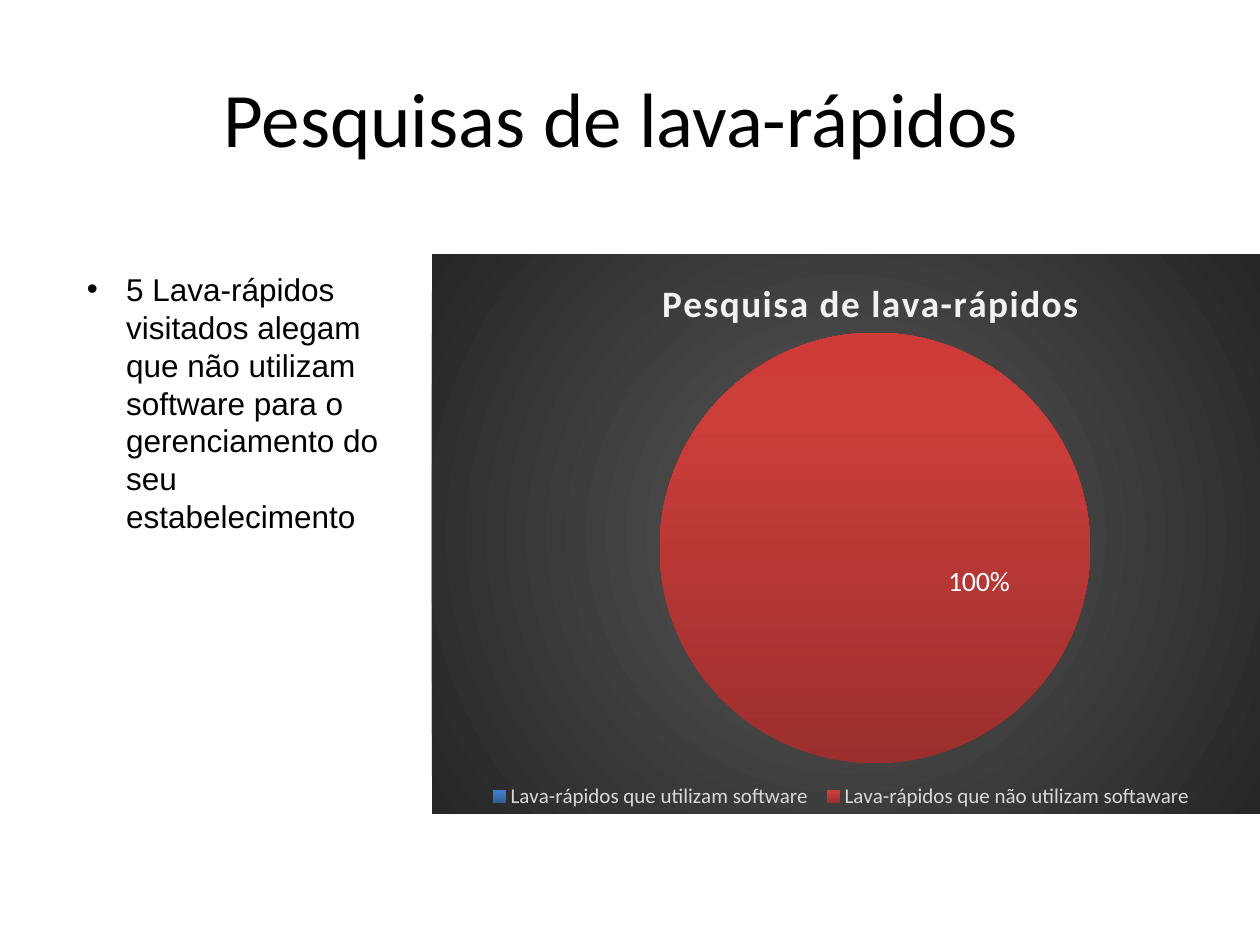
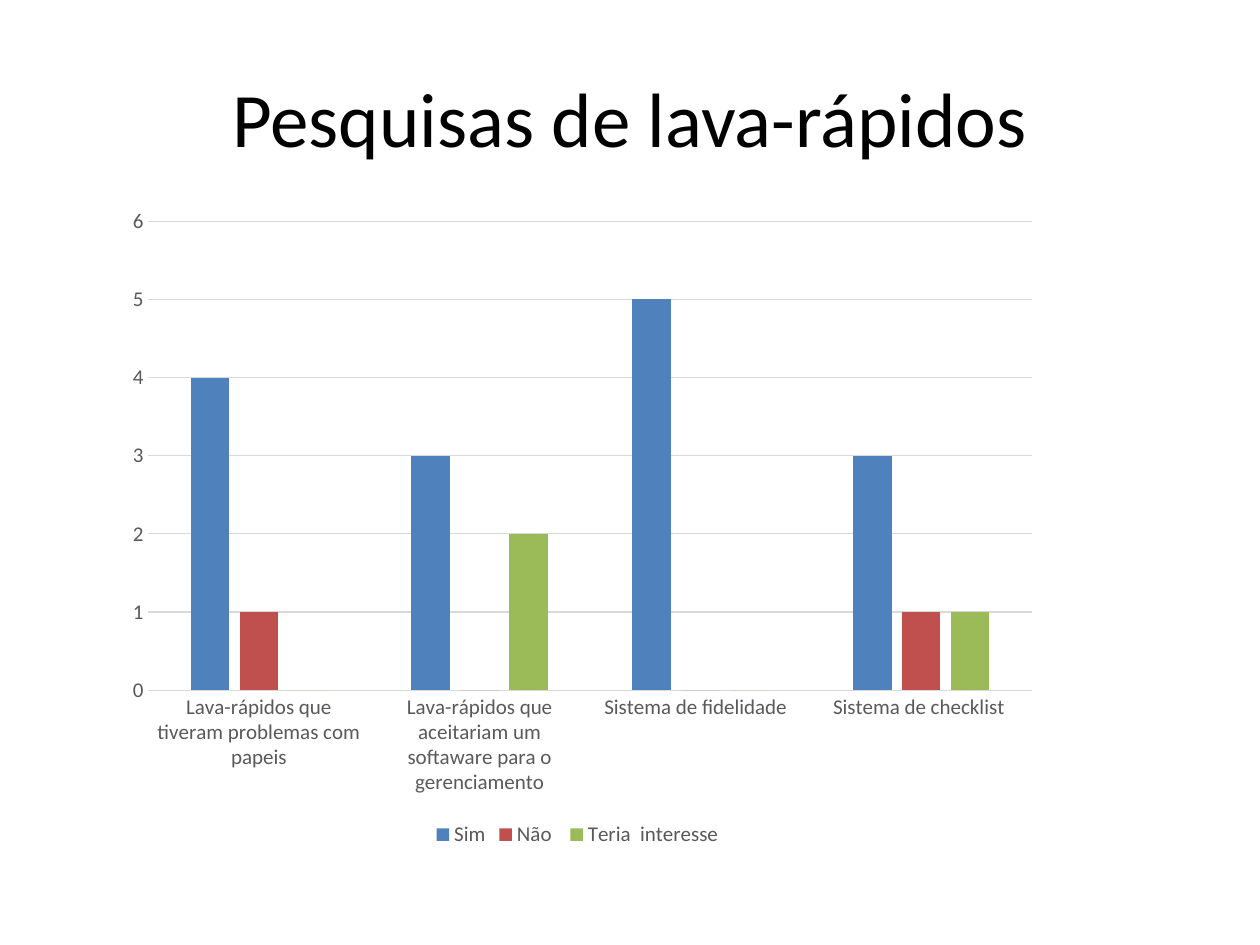
import pptx
import pptx.chart.data
import pptx.dml.color
import pptx.enum.chart
import pptx.enum.text
import pptx.oxml
import pptx.oxml.ns
import pptx.util
from lxml import etree

Pt = pptx.util.Pt
qn = pptx.oxml.ns.qn

# Shared look
HEADING_FONT = "Calibri"
BODY_FONT = "Arial"
BLACK = "000000"
WHITE = "FFFFFF"
AXIS_GREY = "595959"
RULE_GREY = "D9D9D9"
ANSWER_COLOURS = ["4F81BD", "C0504D", "9BBB59"]
SLICE_GRADIENTS = [
    [(0, "2F5F99"), (80, "3D7CC7"), (100, "3A7CCB")],
    [(0, "9C2F2D"), (80, "CB3E3A"), (100, "CE3B37")],
]
UPWARDS = '<a:lin ang="16200000" scaled="0"/>'
FROM_CENTRE = ('<a:path path="circle"><a:fillToRect l="50000" t="50000" '
               'r="50000" b="50000"/></a:path>')


def colour(hex_string):
    return pptx.dml.color.RGBColor.from_string(hex_string)


def style_font(font, size, hex_string, name=HEADING_FONT, bold=False):
    font.size = Pt(size)
    font.name = name
    font.bold = bold
    font.color.rgb = colour(hex_string)


def chart_xml(tag, inner):
    """Return one chart element with the given content."""
    return pptx.oxml.parse_xml(
        f'<c:{tag} {pptx.oxml.ns.nsdecls("c", "a")}>{inner}</c:{tag}>')


def gradient_area(stops, direction):
    """Return borderless shape properties with a gradient fill."""
    stop_list = "".join(
        f'<a:gs pos="{position * 1000}"><a:srgbClr val="{shade}"/></a:gs>'
        for position, shade in stops)
    return chart_xml("spPr", f"<a:gradFill><a:gsLst>{stop_list}</a:gsLst>"
                             f"{direction}</a:gradFill><a:ln><a:noFill/></a:ln>")


def manual_layout(**settings):
    inner = "".join(f'<c:{key} val="{value}"/>' for key, value in settings.items())
    return chart_xml("layout", f"<c:manualLayout>{inner}</c:manualLayout>")


def replace_layout(parent, layout, place):
    for old_layout in parent.findall(qn("c:layout")):
        parent.remove(old_layout)
    parent.insert(place, layout)


# Kinds of element
def add_text(slide, text, left, top, width, height):
    box = slide.shapes.add_textbox(Pt(left), Pt(top), Pt(width), Pt(height))
    box.text_frame.word_wrap = True
    box.text_frame.text = text
    return box.text_frame


def add_title(slide, text):
    title = add_text(slide, text, 36, 21.6, 648, 90)
    title.vertical_anchor = pptx.enum.text.MSO_ANCHOR.MIDDLE
    paragraph = title.paragraphs[0]
    paragraph.alignment = pptx.enum.text.PP_ALIGN.CENTER
    style_font(paragraph.runs[0].font, 44, BLACK)


def add_finding(slide, text, left, top, width, height):
    paragraph = add_text(slide, text, left, top, width, height).paragraphs[0]
    style_font(paragraph.runs[0].font, 18, BLACK, BODY_FONT)
    properties = paragraph._p.get_or_add_pPr()
    properties.set("marL", str(Pt(22.5)))
    properties.set("indent", str(-Pt(22.5)))
    etree.SubElement(properties, qn("a:buFont"), typeface=BODY_FONT)
    etree.SubElement(properties, qn("a:buChar"), char="•")


def add_survey_chart(slide, kind, categories, answers, bounds, legend_colour):
    """Add a chart with the shared font and a legend below."""
    survey = pptx.chart.data.CategoryChartData()
    survey.categories = categories
    for name, values in answers:
        survey.add_series(name, values)
    chart = slide.shapes.add_chart(kind, *map(Pt, bounds), survey).chart
    style_font(chart.font, 10, BLACK)
    chart.has_legend = True
    chart.legend.position = pptx.enum.chart.XL_LEGEND_POSITION.BOTTOM
    chart.legend.include_in_layout = False
    style_font(chart.legend.font, 12, legend_colour)
    return chart


def add_software_pie(slide):
    name = "Pesquisa de lava-rápidos "
    chart = add_survey_chart(
        slide, pptx.enum.chart.XL_CHART_TYPE.PIE,
        ["Lava-rápidos que utilizam software ",
         "Lava-rápidos que não utilizam softaware  "],
        [(name, (0, 100))], (246.8, 145.4, 473.2, 319.7), RULE_GREY)

    # Dark backdrop
    plot_frame = chart._chartSpace.find(qn("c:chart"))
    plot_frame.addprevious(chart_xml("roundedCorners", ""))
    plot_frame.getprevious().set("val", "0")
    plot_frame.addnext(gradient_area([(0, "595959"), (100, "262626")], FROM_CENTRE))

    # Heading inside the chart, clear of the pie
    heading = chart.chart_title
    heading.text_frame.text = name
    heading_run = heading.text_frame.paragraphs[0].runs[0]
    style_font(heading_run.font, 21.3, "F2F2F2", bold=True)
    heading_run._r.get_or_add_rPr().set("spc", "100")
    replace_layout(heading._element,
                   manual_layout(xMode="edge", yMode="edge", x=0.27, y=0.03), 1)

    # Slices
    replace_layout(plot_frame.find(qn("c:plotArea")), manual_layout(
        layoutTarget="inner", xMode="edge", yMode="edge",
        x=0.27, y=0.14, w=0.53, h=0.77), 0)
    pie = chart.plots[0]
    pie.vary_by_categories = True
    start_angle = pie._element.find(qn("c:firstSliceAng"))
    if start_angle is None:
        start_angle = etree.SubElement(pie._element, qn("c:firstSliceAng"))
    start_angle.set("val", "20")
    survey = pie.series[0]
    for index, stops in enumerate(SLICE_GRADIENTS):
        slice_format = survey.points[index].format
        slice_format.fill.solid()
        solid_area = survey._element.findall(qn("c:dPt"))[index].find(qn("c:spPr"))
        solid_area.getparent().replace(solid_area, gradient_area(stops, UPWARDS))

    # Share label on the only visible slice
    survey.data_labels.show_value = False
    share = survey.points[1].data_label
    style_font(share.font, 16, WHITE)
    share.position = pptx.enum.chart.XL_LABEL_POSITION.CENTER
    share_label = survey._element.find(qn("c:dLbls")).find(qn("c:dLbl"))
    share_label.find(qn("c:showVal")).set("val", "0")
    share_label.find(qn("c:showPercent")).set("val", "1")
    replace_layout(share_label, manual_layout(x=0.17, y=-0.12), 1)


def add_interest_columns(slide):
    chart = add_survey_chart(
        slide, pptx.enum.chart.XL_CHART_TYPE.COLUMN_CLUSTERED,
        ["Lava-rápidos que tiveram problemas com papeis",
         "Lava-rápidos que aceitariam um softaware para o gerenciamento",
         "Sistema de fidelidade  ", "Sistema de checklist "],
        [("Sim", (4, 3, 5, 3)), ("Não ", (1, 0, 0, 1)),
         ("Teria  interesse  ", (0, 2, 0, 1))],
        (65.2, 111.8, 535, 375.2), AXIS_GREY)
    chart.has_title = False

    # Columns
    columns = chart.plots[0]
    columns.gap_width = 219
    columns.overlap = -27
    columns.vary_by_categories = False
    for answer, shade in zip(columns.series, ANSWER_COLOURS):
        answer.format.fill.solid()
        answer.format.fill.fore_color.rgb = colour(shade)

    # Axes
    topics, counts = chart.category_axis, chart.value_axis
    for axis in (topics, counts):
        axis.major_tick_mark = pptx.enum.chart.XL_TICK_MARK.NONE
        axis.minor_tick_mark = pptx.enum.chart.XL_TICK_MARK.NONE
        style_font(axis.tick_labels.font, 12, AXIS_GREY)
    counts.minimum_scale, counts.maximum_scale, counts.major_unit = 0, 6, 1
    counts.has_major_gridlines = True
    counts.format.line.fill.background()
    for rule in (topics.format.line, counts.major_gridlines.format.line):
        rule.width = Pt(0.75)
        rule.color.rgb = colour(RULE_GREY)


def main():
    deck = pptx.Presentation()
    deck.slide_width, deck.slide_height = Pt(720), Pt(540)
    blank = deck.slide_layouts[6]

    # Software use
    software = deck.slides.add_slide(blank)
    add_title(software, "Pesquisas de lava-rápidos ")
    add_software_pie(software)
    add_finding(software, "5 Lava-rápidos visitados alegam que não utilizam "
                "software para o gerenciamento do seu estabelecimento",
                42.5, 150.8, 193, 181.4)

    # Interest by topic
    interest = deck.slides.add_slide(blank)
    add_title(interest, "Pesquisas de lava-rápidos")
    add_interest_columns(interest)

    deck.save("out.pptx")


if __name__ == "__main__":
    main()
